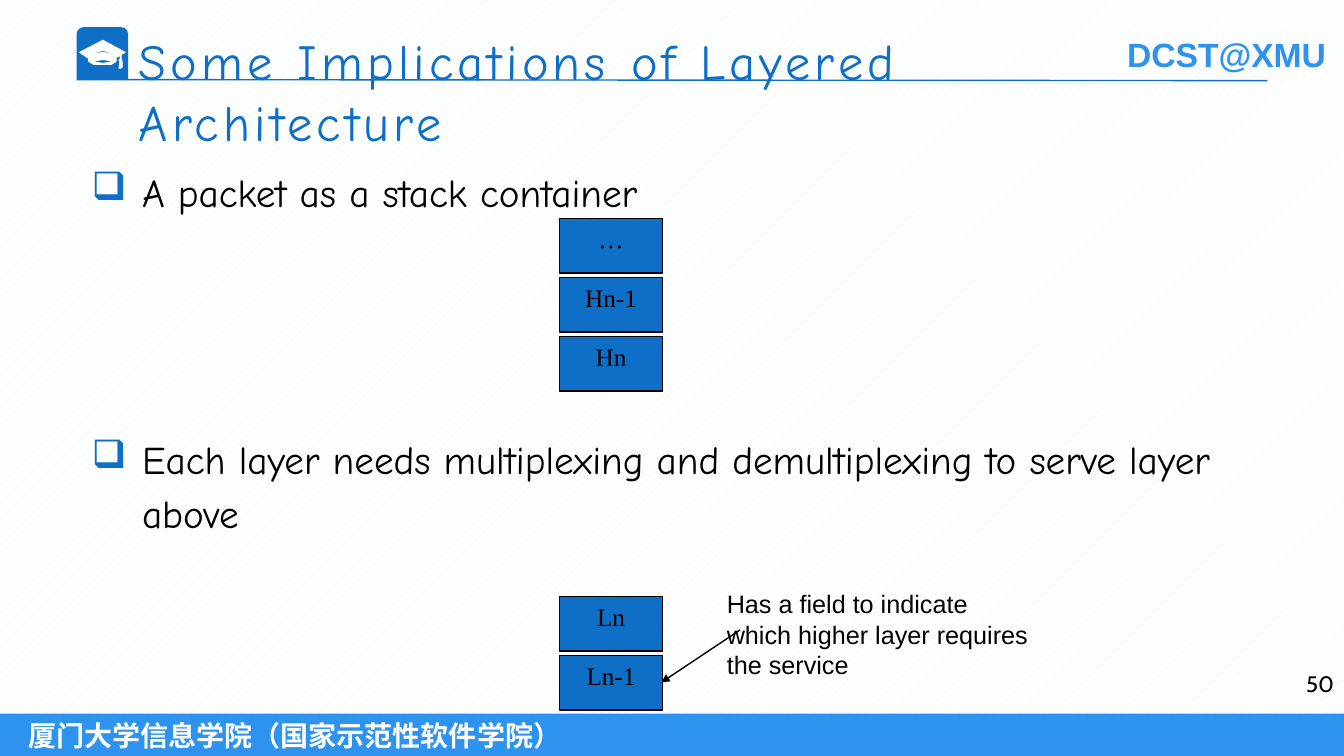
"""Build a slide on what a layered architecture implies for packets."""
from dataclasses import dataclass, field

from lxml.etree import SubElement
from pptx import Presentation
from pptx.dml.color import RGBColor
from pptx.enum.dml import MSO_PATTERN
from pptx.enum.shapes import MSO_CONNECTOR, MSO_SHAPE
from pptx.enum.text import MSO_ANCHOR, PP_ALIGN
from pptx.oxml.ns import qn
from pptx.shapes.autoshape import Shape
from pptx.shapes.connector import Connector
from pptx.text.text import _Paragraph as Para
from pptx.util import Inches, Pt

BLUE = RGBColor(0x0F, 0x6F, 0xC6)
SKY = RGBColor(0x2D, 0x93, 0xEF)
MIST = RGBColor(0xDB, 0xEF, 0xF9)
WHITE = RGBColor(0xFF, 0xFF, 0xFF)
BLACK = RGBColor(0x00, 0x00, 0x00)
WIDE, HIGH = Inches(13.33), Inches(7.5)


@dataclass(frozen=True)
class Area:
    """A place on the slide in percent of its width and height."""
    left: float
    top: float
    width: float
    height: float

    def box(self) -> tuple[int, int, int, int]:
        return col(self.left), row(self.top), col(self.width), row(self.height)


@dataclass(frozen=True)
class Look:
    """Font values and colour of a text."""
    font: dict
    tint: RGBColor = BLACK
    track: int = 0


@dataclass(frozen=True)
class Label:
    """A text box with its paragraphs."""
    area: Area
    lines: tuple[str, ...]
    look: Look
    wrap: bool = True
    bullet: bool = False
    form: dict = field(default_factory=dict)


@dataclass(frozen=True)
class Stack:
    """A column of equal boxes."""
    top: float
    names: tuple[str, ...]


HEAD = Look({"name": "Comic Neue", "size": Pt(36)}, BLUE, 300)
BODY = Look({"name": "Comic Neue", "size": Pt(28)})
NOTE = Look({"name": "Arial", "size": Pt(18)})
CELL = Look({"name": "Times New Roman", "size": Pt(18)})
PAGE = Look({"name": "Cabin", "size": Pt(16)})
MARK = Look({"name": "Arial", "size": Pt(24), "bold": True}, SKY)
FOOT = Look({"name": "Arial", "size": Pt(20), "bold": True}, WHITE)

LABELS = (
    Label(Area(83.12, 3.87, 16.5, 6.67), ("DCST@XMU",), MARK, wrap=False),
    Label(Area(6.08, 20.67, 87.1, 70.67),
          ("A packet as a stack container",
           "Each layer needs multiplexing and demultiplexing to serve layer above"),
          BODY, bullet=True, form={"line_spacing": 1.14}),
    Label(Area(9.6, 3.33, 72.09, 13.33),
          ("Some Implications of Layered Architecture",), HEAD),
    Label(Area(94.22, 88, 5.78, 6.67), ("50",), PAGE,
          form={"alignment": PP_ALIGN.RIGHT}),
    Label(Area(53.34, 77.2, 24.68, 17.47),
          ("Has a field to indicate which higher layer requires the service",), NOTE),
)
STACKS = (Stack(28.93, ("…", "Hn-1", "Hn")), Stack(78.93, ("Ln", "Ln-1")))
STEP = 7.8
CAP = (
    ((41, 19), (41, 14), (45, 12), (23, 0), (0, 12), (9, 18), (9, 21), (14, 24),
     (23, 24), (31, 24), (36, 21), (36, 17), (40, 15), (40, 19), (39, 20),
     (41, 21), (42, 20)),
    ((23, 23), (11, 21), (23, 19), (35, 21)),
    ((36, 15), (23, 12), (9, 15), (9, 14), (23, 10), (36, 14)),
    ((40, 21), (39, 28), (42, 27), (42, 21)),
)


def col(share: float) -> int:
    return round(WIDE * share / 100)


def row(share: float) -> int:
    return round(HIGH * share / 100)


def apply(target: object, values: dict) -> None:
    for key, value in values.items():
        setattr(target, key, value)


def write(para: Para, text: str, look: Look, form: dict) -> None:
    apply(para, form)
    run = para.add_run()
    run.text = text
    apply(run.font, look.font)
    run.font.color.rgb = look.tint
    if look.track:
        run._r.get_or_add_rPr().set("spc", str(look.track))


def dot(para: Para) -> None:
    props = para._p.get_or_add_pPr()
    props.set("marL", str(Inches(0.5)))
    props.set("indent", str(Inches(-0.5)))
    tint = SubElement(props, qn("a:buClr"))
    SubElement(tint, qn("a:srgbClr")).set("val", str(BLUE))
    SubElement(props, qn("a:buChar")).set("char", "❑")


def paint(shape: Shape, fill: RGBColor, line: RGBColor | None = None,
          width: float = 1) -> Shape:
    shape.shadow.inherit = False
    shape.fill.solid()
    shape.fill.fore_color.rgb = fill
    if line is None:
        shape.line.fill.background()
    else:
        shape.line.color.rgb = line
        shape.line.width = Pt(width)
    return shape


def main() -> None:
    deck = Presentation()
    apply(deck, {"slide_width": WIDE, "slide_height": HIGH})
    shapes = deck.slides.add_slide(deck.slide_layouts[6]).shapes

    def block(area: Area, fill: RGBColor, line: RGBColor | None = None,
              kind: MSO_SHAPE = MSO_SHAPE.RECTANGLE) -> Shape:
        return paint(shapes.add_shape(kind, *area.box()), fill, line)

    def label(item: Label) -> None:
        frame = shapes.add_textbox(*item.area.box()).text_frame
        frame.word_wrap = item.wrap
        for index, text in enumerate(item.lines):
            para = frame.add_paragraph() if index else frame.paragraphs[0]
            if item.bullet:
                dot(para)
            if index:
                para.space_before = Pt(153)
            write(para, text, item.look, item.form)

    def stroke(start: tuple[float, float], end: tuple[float, float],
               tint: RGBColor) -> Connector:
        line = shapes.add_connector(MSO_CONNECTOR.STRAIGHT, col(start[0]),
                                    row(start[1]), col(end[0]), row(end[1]))
        line.line.color.rgb = tint
        line.line.width = Pt(1)
        SubElement(line._element.spPr, qn("a:effectLst"))
        return line

    ground = block(Area(0, 0, 100, 100), WHITE)
    ground.fill.patterned()
    apply(ground.fill, {"pattern": MSO_PATTERN.PERCENT_20})
    ground.fill.fore_color.rgb = MIST
    ground.fill.back_color.rgb = WHITE

    band = block(Area(0, 94.4, 100, 5.6), SKY).text_frame
    apply(band, {"margin_left": col(2.1), "vertical_anchor": MSO_ANCHOR.MIDDLE})
    write(band.paragraphs[0], "厦门大学信息学院（国家示范性软件学院）", FOOT,
          {"alignment": PP_ALIGN.LEFT})

    badge = block(Area(5.7, 3.6, 3.83, 6.93), BLUE,
                  kind=MSO_SHAPE.ROUND_2_SAME_RECTANGLE)
    badge.adjustments[0] = 0.13
    first, *rest = CAP
    pen = shapes.build_freeform(*first[0], scale=Inches(0.01))
    pen.add_line_segments(first[1:])
    for ring in rest:
        pen.move_to(*ring[0])
        pen.add_line_segments(ring[1:])
    paint(pen.convert_to_shape(col(5.93), row(5.33)), WHITE, WHITE, 0.75)
    stroke((5.7, 10.53), (94.3, 10.67), BLUE)

    for item in LABELS:
        label(item)
    for stack in STACKS:
        for index, name in enumerate(stack.names):
            area = Area(41.64, stack.top + index * STEP, 7.65, 7.2)
            frame = block(area, BLUE, BLACK).text_frame
            frame.vertical_anchor = MSO_ANCHOR.TOP
            write(frame.paragraphs[0], name, CELL, {"alignment": PP_ALIGN.CENTER})
    arrow = stroke((55.06, 83.33), (49.21, 90.27), BLACK)
    SubElement(arrow.line._get_or_add_ln(), qn("a:tailEnd")).set("type", "triangle")
    deck.save("out.pptx")


if __name__ == "__main__":
    main()
